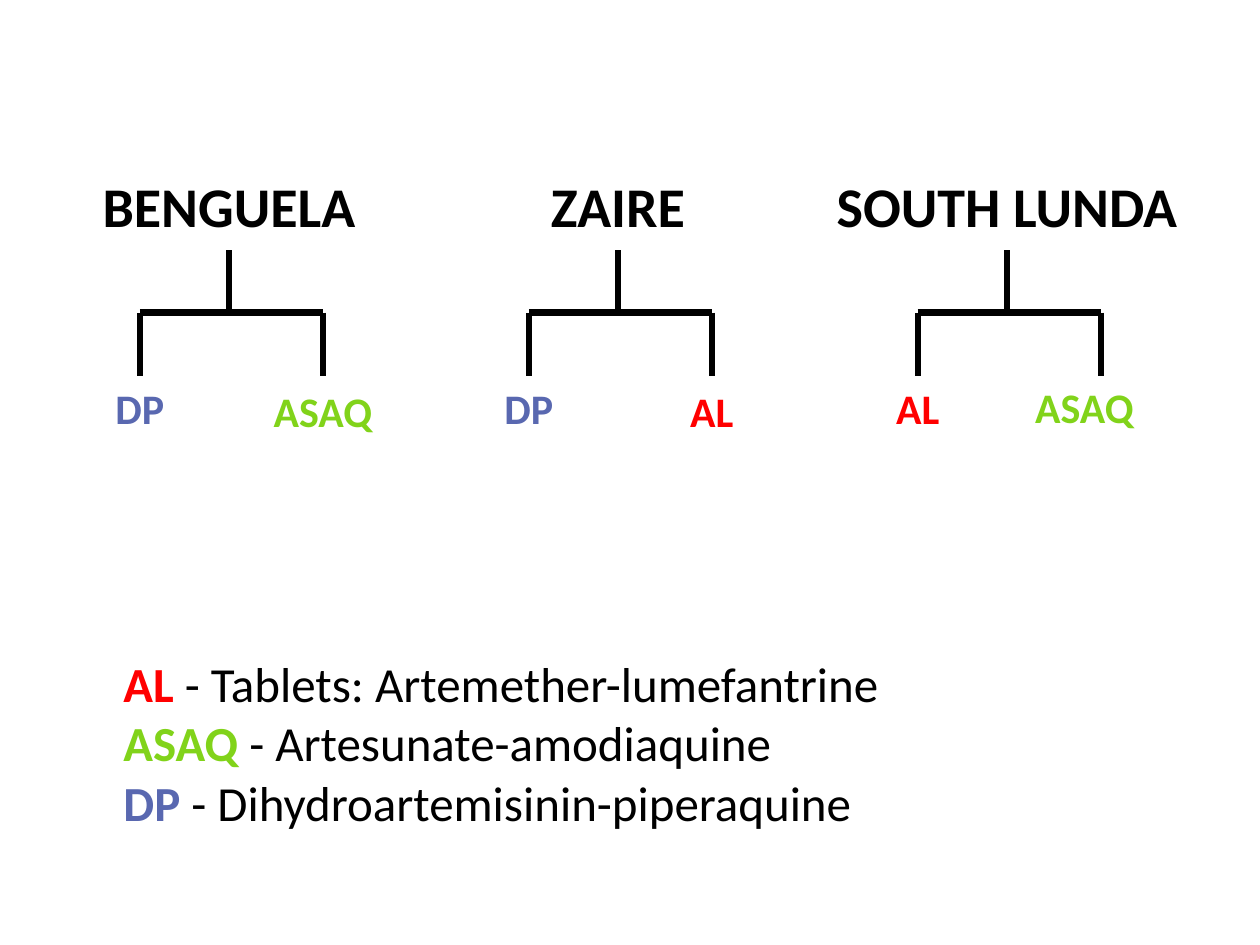
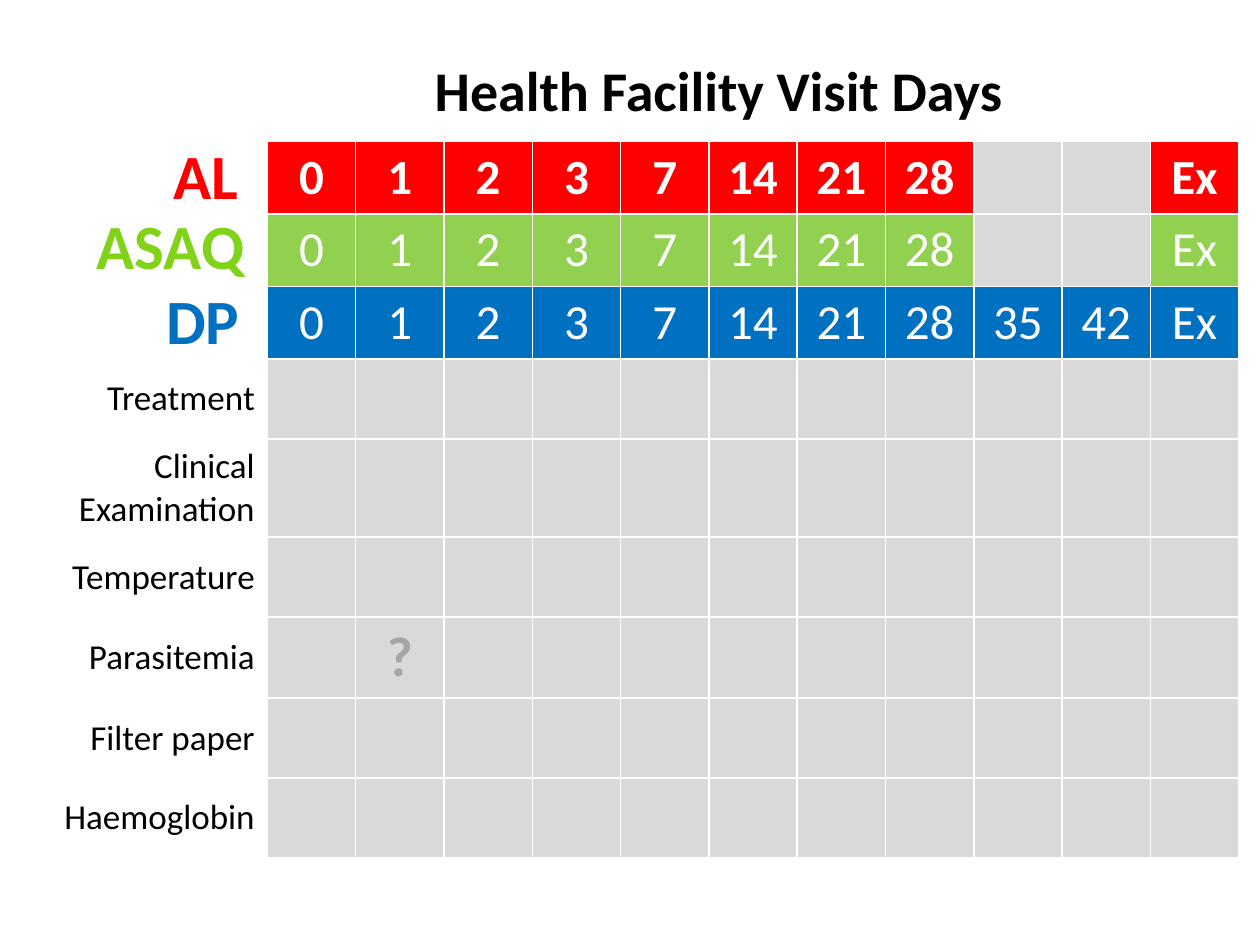
from lxml.etree import SubElement
from pptx import Presentation
from pptx.dml.color import RGBColor
from pptx.enum.shapes import MSO_CONNECTOR
from pptx.enum.text import MSO_ANCHOR, PP_ALIGN
from pptx.oxml.ns import qn
from pptx.util import Cm, Pt

FONT = "Calibri"
BLACK, WHITE, GRID_GREY, MARK_GREY = "000000", "FFFFFF", "D9D9D9", "A6A6A6"
DRUG_COLORS = {"AL": "FF0000", "ASAQ": "81D31A", "DP": "5968B0"}
ROW_COLORS = {"AL": "FF0000", "ASAQ": "92D050", "DP": "0070C0"}


def color(value):
    return RGBColor.from_string(value)


def add_text(paragraph, text, size=20, text_color=BLACK, bold=False, align=None):
    """Append one formatted run to a paragraph."""
    if align is not None:
        paragraph.alignment = align
    run = paragraph.add_run()
    run.text = text
    run.font.name = FONT
    run.font.size = Pt(size)
    run.font.bold = bold
    run.font.color.rgb = color(text_color)


def add_text_box(shapes, box, text="", **text_format):
    shape = shapes.add_textbox(*(Cm(length) for length in box))
    frame = shape.text_frame
    frame.word_wrap = True
    if text:
        add_text(frame.paragraphs[0], text, **text_format)
    return frame


def add_line(shapes, x1, y1, x2, y2):
    line = shapes.add_connector(MSO_CONNECTOR.STRAIGHT, Cm(x1), Cm(y1), Cm(x2), Cm(y2))
    line.line.color.rgb = color(BLACK)
    line.line.width = Pt(3.5)
    SubElement(line._element.spPr, qn("a:effectLst"))


# Slide 1: provinces and their treatment arms
def add_province_tree(slide, left, top, province, title_width, drugs,
                      right_shift=0, right_drop=0.06):
    """Draw a title, a two-armed fork and the drug under each arm."""
    shapes = slide.shapes.add_group_shape().shapes
    span, stem, arm = 3.69, 1.8, 1.27
    stem_top = top + 1.7
    bar = stem_top + arm
    label_width, label_top = 4.22, bar + 1.29

    add_text_box(shapes, (left + stem - title_width / 2, top, title_width, 1.63),
                 province, size=32, bold=True, align=PP_ALIGN.CENTER)
    add_line(shapes, left + stem, bar, left + stem, stem_top)
    add_line(shapes, left, bar, left + span, bar)
    for x in (left, left + span):
        add_line(shapes, x, bar, x, bar + arm)

    labels = ((left, label_top), (left + span + right_shift, label_top + right_drop))
    for drug, (center, y) in zip(drugs, labels):
        add_text_box(shapes, (center - label_width / 2, y, label_width, 1.27), drug,
                     size=24, text_color=DRUG_COLORS[drug], bold=True,
                     align=PP_ALIGN.CENTER)


def add_drug_legend(slide, box):
    meanings = {
        "AL": "Tablets: Artemether-lumefantrine",
        "ASAQ": "Artesunate-amodiaquine",
        "DP": "Dihydroartemisinin-piperaquine",
    }
    frame = add_text_box(slide.shapes, box)
    frame.margin_left = Cm(1.52)
    for index, (drug, meaning) in enumerate(meanings.items()):
        paragraph = frame.add_paragraph() if index else frame.paragraphs[0]
        paragraph.line_spacing = 0.9
        paragraph.space_before = Pt(3.8)
        add_text(paragraph, f"{drug} ", size=28, text_color=DRUG_COLORS[drug], bold=True)
        add_text(paragraph, f"- {meaning}", size=28)


def build_arms_slide(slide):
    first_left, step, top = 2.82, 7.84, 3.33
    trees = [
        ("BENGUELA", 6.83, ("DP", "ASAQ"), {}),
        ("ZAIRE", 3.63, ("DP", "AL"), {}),
        ("SOUTH LUNDA", 8.79, ("AL", "ASAQ"), {"right_shift": -0.33, "right_drop": -0.02}),
    ]
    for index, (province, width, drugs, shifts) in enumerate(trees):
        add_province_tree(slide, first_left + index * step, top, province, width,
                          drugs, **shifts)
    add_drug_legend(slide, (0.97, 13.18, 23.5, 4.95))


# Slide 2: visit schedule
def style_cell(cell, fill, text="", **text_format):
    """White borders, plain fill, text centred vertically."""
    properties = cell._tc.get_or_add_tcPr()
    for side in ("lnL", "lnR", "lnT", "lnB"):
        border = SubElement(properties, qn(f"a:{side}"), w=str(Pt(1)))
        solid = SubElement(border, qn("a:solidFill"))
        SubElement(solid, qn("a:srgbClr"), val=WHITE)
    cell.fill.solid()
    cell.fill.fore_color.rgb = color(fill)
    cell.vertical_anchor = MSO_ANCHOR.MIDDLE
    if text:
        add_text(cell.text_frame.paragraphs[0], text, **text_format)


def add_visit_table(slide, left, top):
    short_visits = ["0", "1", "2", "3", "7", "14", "21", "28", "", "", "Ex"]
    long_visits = short_visits[:8] + ["35", "42", "Ex"]
    visits = {"AL": short_visits, "ASAQ": short_visits, "DP": long_visits}
    checks = ["Treatment", "Clinical Examination", "Temperature", "Parasitemia",
              "Filter paper", "Haemoglobin"]
    widths = [4.93] + [1.78] * len(short_visits)
    heights = [1.45] * len(visits) + [1.95 if " E" in check else 1.61 for check in checks]

    table = slide.shapes.add_table(len(heights), len(widths), Cm(left), Cm(top),
                                   Cm(sum(widths)), Cm(sum(heights))).table
    table.first_row = table.horz_banding = False
    for column, width in zip(table.columns, widths):
        column.width = Cm(width)
    for row, height in zip(table.rows, heights):
        row.height = Cm(height)

    # Visit days of each drug
    for row, (drug, days) in enumerate(visits.items()):
        style_cell(table.cell(row, 0), WHITE)
        for column, day in enumerate(days, start=1):
            style_cell(table.cell(row, column), ROW_COLORS[drug] if day else GRID_GREY,
                       day, size=28, text_color=WHITE, bold=drug == "AL",
                       align=PP_ALIGN.CENTER)

    # Checks at each visit
    for row, check in enumerate(checks, start=len(visits)):
        style_cell(table.cell(row, 0), WHITE, check, align=PP_ALIGN.RIGHT)
        for column in range(1, len(widths)):
            mark = "?" if (check, column) == ("Parasitemia", 2) else ""
            style_cell(table.cell(row, column), GRID_GREY, mark, size=32,
                       text_color=MARK_GREY, bold=True, align=PP_ALIGN.CENTER)


def add_drug_labels(slide):
    boxes = {
        "AL": (3.25, 2.62, 2.03, 1.8),
        "ASAQ": (1.7, 4.04, 3.58, 1.8),
        "DP": (3.1, 5.56, 2.13, 1.8),
    }
    label_colors = {**DRUG_COLORS, "DP": ROW_COLORS["DP"]}
    for drug, box in boxes.items():
        add_text_box(slide.shapes, box, drug, size=36, text_color=label_colors[drug],
                     bold=True)


def build_schedule_slide(slide):
    add_visit_table(slide, 0.46, 2.85)
    add_drug_labels(slide)
    add_text_box(slide.shapes, (8.46, 0.99, 12.32, 1.63), "Health Facility Visit Days ",
                 size=32, bold=True, align=PP_ALIGN.CENTER)


def main():
    presentation = Presentation()
    presentation.slide_width, presentation.slide_height = Cm(25.4), Cm(19.05)
    blank_layout = presentation.slide_layouts[6]
    for build in (build_arms_slide, build_schedule_slide):
        build(presentation.slides.add_slide(blank_layout))
    presentation.save("out.pptx")


if __name__ == "__main__":
    main()
